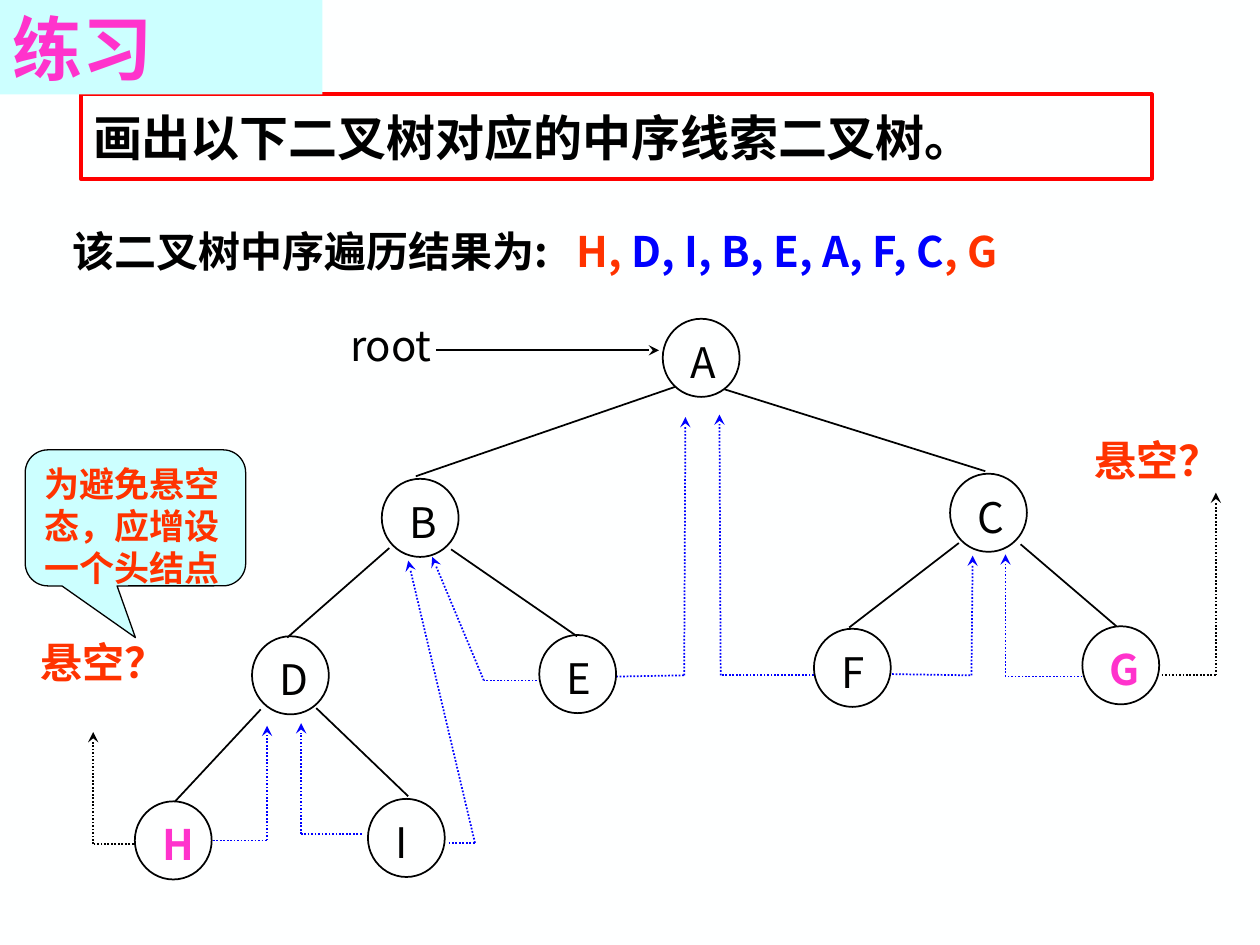
from itertools import pairwise

from lxml.etree import SubElement
from pptx import Presentation
from pptx.dml.color import RGBColor
from pptx.enum.dml import MSO_LINE
from pptx.enum.shapes import MSO_CONNECTOR, MSO_SHAPE as SHAPE
from pptx.enum.text import MSO_ANCHOR as ANCHOR, PP_ALIGN
from pptx.oxml.ns import qn
from pptx.util import Inches, Pt

FONT = "Noto Sans CJK SC"
BACKGROUND = RGBColor(0xFE, 0xFF, 0xFF)
BLACK = RGBColor(0x00, 0x00, 0x00)
BLUE = RGBColor(0x00, 0x00, 0xFF)
RED = RGBColor(0xFF, 0x00, 0x00)
ORANGE = RGBColor(0xFF, 0x33, 0x00)
PINK = RGBColor(0xFF, 0x33, 0xCC)
CYAN = RGBColor(0xCC, 0xFF, 0xFF)

presentation = Presentation()
presentation.slide_width = Inches(10)
presentation.slide_height = Inches(7.5)
slide = presentation.slides.add_slide(presentation.slide_layouts[6])
slide.background.fill.solid()
slide.background.fill.fore_color.rgb = BACKGROUND


def add_text(box, runs, kind=None, size=24, bold=True, anchor=ANCHOR.TOP,
             fill=None, line=None, line_width=1, tab=None):
    """Add a text box, or a preset shape of the given kind, with (text, colour) runs."""
    left, top, width, height = (Inches(value) for value in box)
    if kind is None:
        shape = slide.shapes.add_textbox(left, top, width, height)
    else:
        shape = slide.shapes.add_shape(kind, left, top, width, height)
        shape.shadow.inherit = False
        if fill is None:
            shape.fill.background()
        else:
            shape.fill.solid()
            shape.fill.fore_color.rgb = fill
        if line is None:
            shape.line.fill.background()
        else:
            shape.line.color.rgb = line
            shape.line.width = Pt(line_width)
    frame = shape.text_frame
    frame.word_wrap = True
    frame.vertical_anchor = anchor
    paragraph = frame.paragraphs[0]
    paragraph.alignment = PP_ALIGN.LEFT
    if tab is not None:
        tab_list = SubElement(paragraph._p.get_or_add_pPr(), qn("a:tabLst"))
        SubElement(tab_list, qn("a:tab"), pos=str(Inches(tab)), algn="l")
    for text, color in runs:
        run = paragraph.add_run()
        run.text = text
        run.font.name = FONT
        run.font.size = Pt(size)
        run.font.bold = bold
        run.font.color.rgb = color
        SubElement(run._r.get_or_add_rPr(), qn("a:ea"), typeface=FONT)
    return shape


def add_line(start, end, color=BLACK, dotted=False, arrow=False):
    connector = slide.shapes.add_connector(
        MSO_CONNECTOR.STRAIGHT, *(Inches(value) for value in start + end))
    connector.line.color.rgb = color
    connector.line.width = Pt(1)
    if dotted:
        connector.line.dash_style = MSO_LINE.ROUND_DOT
    properties = connector._element.spPr
    if arrow:
        SubElement(properties.find(qn("a:ln")), qn("a:tailEnd"), type="stealth")
    SubElement(properties, qn("a:effectLst"))


# Threads: from a node, round a corner, to the arrow tip
threads = [
    ((3.56, 6.69), (3.77, 6.69), (3.24, 4.45), BLUE),
    ((4.26, 5.4), (3.84, 5.4), (3.43, 4.42), BLUE),
    ((2.87, 6.62), (2.39, 6.62), (2.39, 5.74), BLUE),
    ((1.69, 6.67), (2.12, 6.67), (2.12, 5.76), BLUE),
    ((6.46, 5.36), (5.72, 5.36), (5.71, 3.29), BLUE),
    ((8.59, 5.37), (7.98, 5.37), (7.98, 4.4), BLUE),
    ((1.06, 6.7), (0.74, 6.7), (0.74, 5.81), BLACK),
    ((4.89, 5.37), (5.43, 5.36), (5.44, 3.31), BLUE),
    ((7.08, 5.35), (7.71, 5.36), (7.72, 4.41), BLUE),
    ((9.22, 5.36), (9.65, 5.36), (9.65, 3.91), BLACK),
]
for *points, color in threads:
    for start, end in pairwise(points):
        add_line(start, end, color, dotted=True, arrow=end == points[-1])

# Tree nodes, with the two ends of the traversal highlighted
nodes = {
    "A": (5.26, 2.53), "B": (3.03, 3.8), "C": (7.54, 3.76),
    "D": (2, 5.05), "E": (4.28, 5.04), "F": (6.46, 4.99),
    "G": (8.59, 4.97), "H": (1.07, 6.36), "I": (2.92, 6.34),
}
for name, (left, top) in nodes.items():
    is_end = name in "HG"
    add_text((left, top, 0.61, 0.62), [], kind=SHAPE.OVAL, line=BLACK)
    add_text((left + 0.12, top + 0.09, 0.46, 0.5),
             [(name, PINK if is_end else BLACK)], bold=is_end)

edges = [
    ((5.36, 3.07), (3.3, 3.78)),
    ((5.75, 3.09), (7.82, 3.74)),
    ((3.09, 4.35), (2.28, 5.06)),
    ((3.58, 4.36), (4.58, 5.05)),
    ((7.61, 4.31), (6.74, 4.98)),
    ((8.1, 4.32), (8.86, 4.97)),
    ((2.07, 5.63), (1.39, 6.36)),
    ((2.51, 5.62), (3.24, 6.32)),
]
for parent_end, child_end in edges:
    add_line(parent_end, child_end)

add_line((3.46, 2.78), (5.23, 2.78), arrow=True)
add_text((2.68, 2.49, 0.9, 0.5), [("root", BLACK)], bold=False)

# Dangling threads and traversal result
for left, top in [(0.22, 5), (8.59, 3.4)]:
    add_text((left, top, 1.42, 0.5), [("悬空？", ORANGE)])
add_text((0.48, 1.74, 8.83, 0.5),
         [("该二叉树中序遍历结果为:\t", BLACK), ("H, ", ORANGE),
          ("D, I, B, E, A, F, C", BLUE), (", G", ORANGE)], tab=4)

# Task, hint and heading
add_text((0.64, 0.75, 8.5, 0.67), [("画出以下二叉树对应的中序线索二叉树。", BLACK)],
         kind=SHAPE.RECTANGLE, size=28, anchor=ANCHOR.MIDDLE, line=RED, line_width=2.25)
callout = add_text((0.2, 3.57, 1.75, 1.08), [("为避免悬空态，应增设一个头结点", ORANGE)],
                   kind=SHAPE.ROUNDED_RECTANGULAR_CALLOUT, size=20,
                   fill=CYAN, line=BLACK, line_width=0.75)
callout.adjustments[0] = 0
callout.adjustments[1] = 0.88
add_text((0, 0, 2.56, 0.75), [("练习", PINK)], kind=SHAPE.RECTANGLE,
         size=40, anchor=ANCHOR.MIDDLE, fill=CYAN)

presentation.save("out.pptx")
